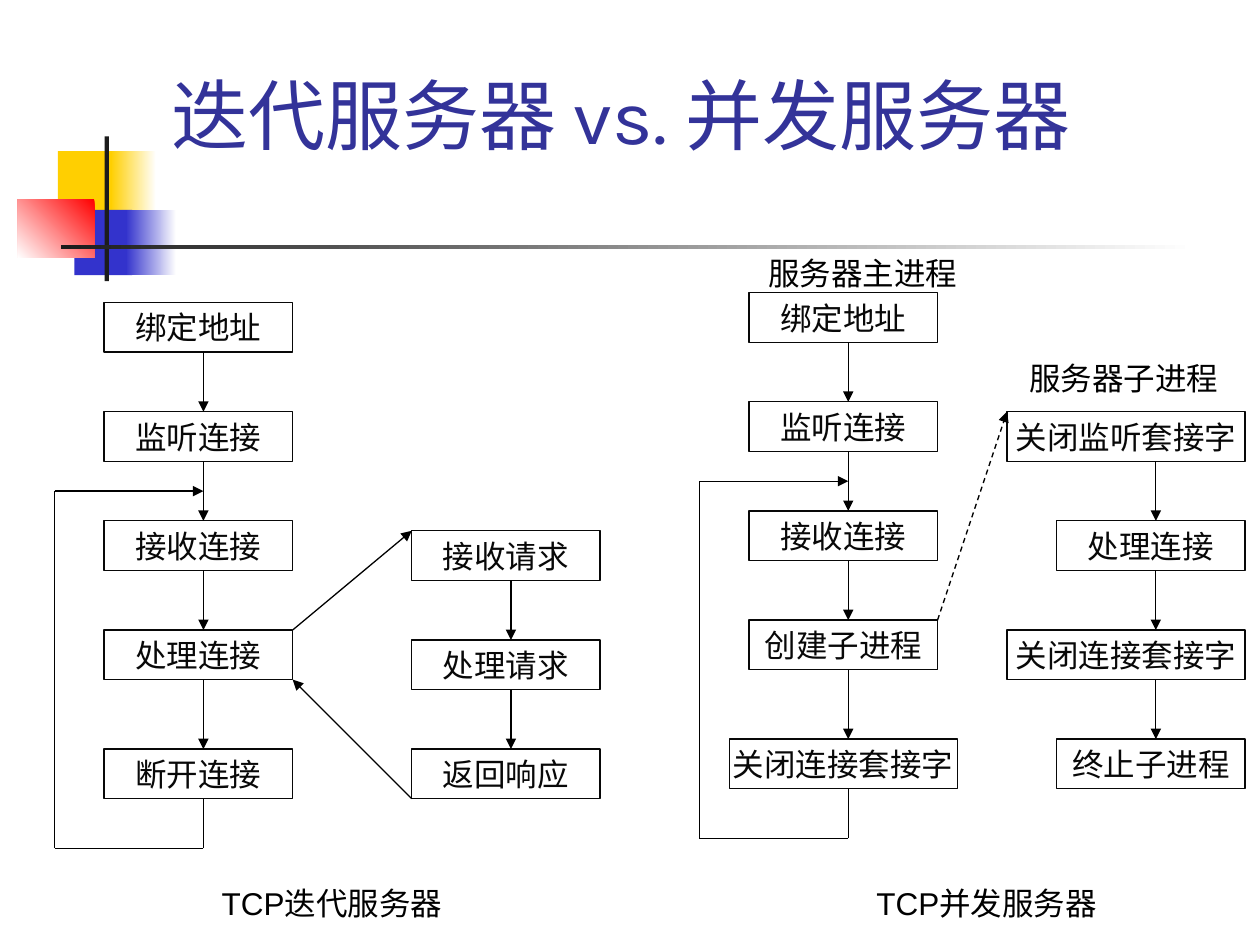
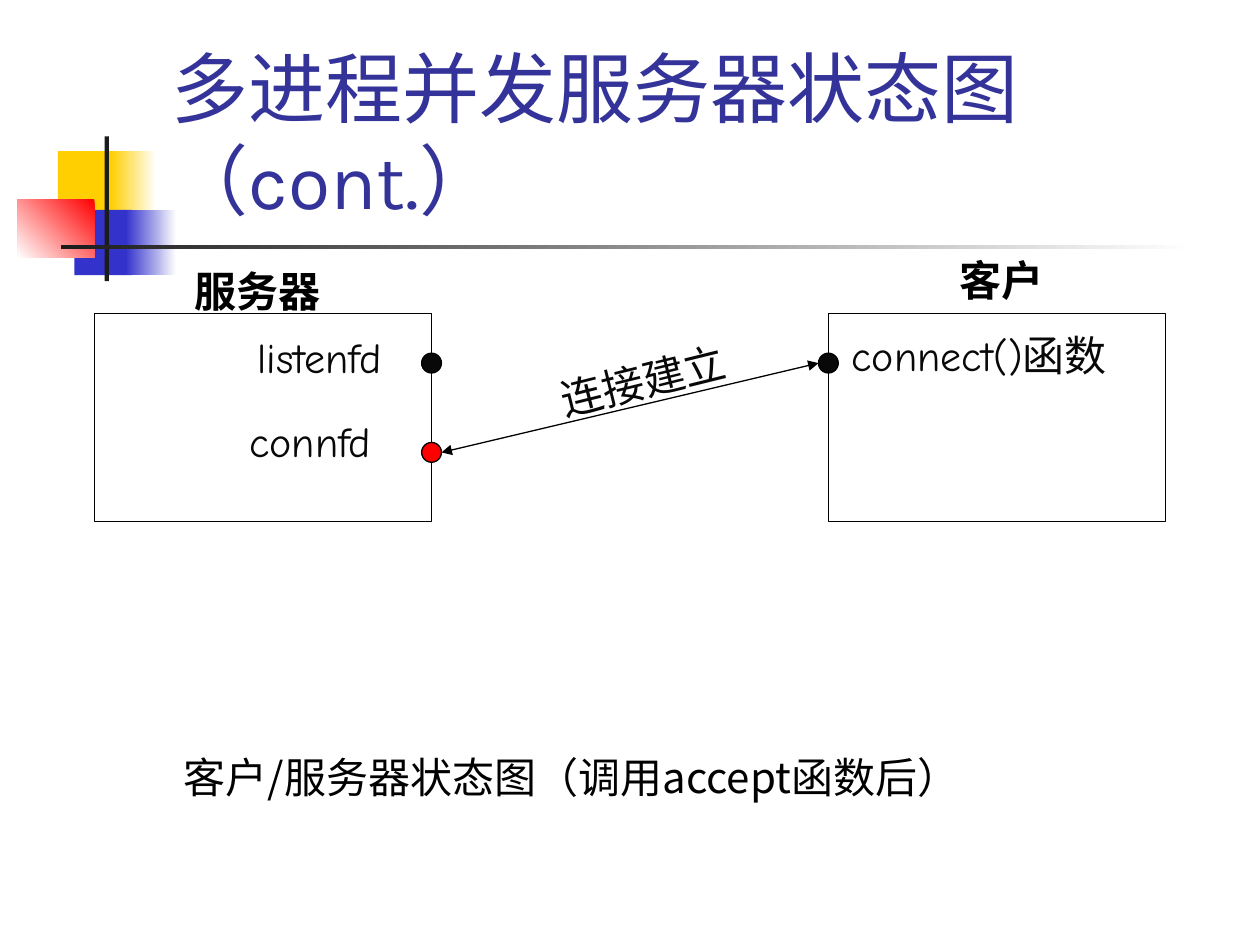
"""Build two slides comparing iterative and concurrent TCP servers on a 2 mm grid."""
from lxml import etree
from pptx import Presentation, util as u
from pptx.dml.color import RGBColor
from pptx.enum import dml, shapes, text
from pptx.oxml.ns import qn

COLORS = {"gold": "FFCF01", "blue": "3333CC", "red": "FF0000", "white": "FFFFFF",
          "charcoal": "1C1C1C", "title": "333399", "ink": "080808", "black": "000000"}
RGB = {name: RGBColor.from_string(value) for name, value in COLORS.items()}
RECT, OVAL = shapes.MSO_SHAPE.RECTANGLE, shapes.MSO_SHAPE.OVAL
BOX_WIDTH, BOX_HEIGHT = 19, 5


def grid(column, row, columns=0, rows=0):
    return u.Mm(2 * column + 1), u.Mm(2 * row + 1), u.Mm(2 * columns), u.Mm(2 * rows)


def add_line(page, start, end, ends=(), dashed=False):
    line = page.shapes.add_connector(shapes.MSO_CONNECTOR.STRAIGHT, *grid(*start)[:2], *grid(*end)[:2])
    line.line.color.rgb = RGB["black"]
    line.line.width = u.Pt(0.75)
    if dashed:
        line.line.dash_style = dml.MSO_LINE.DASH
    for end_name in ends:
        etree.SubElement(line.line._get_or_add_ln(), qn(f"a:{end_name}"), type="triangle")
    etree.SubElement(line.element.spPr, qn("a:effectLst"))


deck = Presentation()
deck.slide_width, deck.slide_height = u.Inches(10), u.Inches(7.5)
layout = deck.slide_layouts[5]
pages = []
for title_text, top, height in [("迭代服务器 vs. 并发服务器", 5.47, 10.8),
                                ("多进程并发服务器状态图（cont.）", 2.5, 20.3)]:
    page = deck.slides.add_slide(layout)
    title = page.shapes.title
    title.left, title.top, title.width, title.height = grid(15.5, top, 108.2, height)
    frame = title.text_frame
    frame.text = title_text
    frame.auto_size = text.MSO_AUTO_SIZE.NONE
    frame.vertical_anchor = text.MSO_ANCHOR.BOTTOM
    para = frame.paragraphs[0]
    para.alignment = text.PP_ALIGN.LEFT
    para.font.name, para.font.size = "Karla", u.Pt(44)
    para.font.color.rgb = RGB["title"]
    pages.append(page)
comparison, state = pages

bands = [
    (5.34, 14.74, 6.1, 6.6, ["gold"], 0),
    (10.68, 14.74, 4.57, 6.6, ["white", "gold"], 180),
    (6.99, 20.65, 5.84, 6.6, ["blue"], 0),
    (12.2, 20.65, 5.08, 6.6, ["white", "blue"], 180),
    (1.28, 19.57, 7.75, 5.9, ["red", "white"], 225),
    (10.04, 13.25, 0.45, 14.6, ["charcoal"], 0),
    (5.65, 24.2, 114.3, 0.45, ["white", "charcoal"], 180),
]
for *cells, shades, angle in bands:
    band = comparison.shapes.add_shape(RECT, *grid(*cells))
    band.shadow.inherit = False
    band.line.fill.background()
    if len(shades) == 1:
        band.fill.solid()
        band.fill.fore_color.rgb = RGB[shades[0]]
    else:
        band.fill.gradient()
        band.fill.gradient_angle = angle
        for stop, shade in zip(band.fill.gradient_stops, shades):
            stop.color.rgb = RGB[shade]
    layout.shapes.element.append(band.element)

flows = [
    (20, [(10, 30, BOX_WIDTH, "绑定地址"), (10, 41, BOX_WIDTH, "监听连接"),
          (10, 52, BOX_WIDTH, "接收连接"), (10, 63, BOX_WIDTH, "处理连接"),
          (10, 75, BOX_WIDTH, "断开连接")]),
    (51, [(41, 53, BOX_WIDTH, "接收请求"), (41, 64, BOX_WIDTH, "处理请求"),
          (41, 75, BOX_WIDTH, "返回响应")]),
    (85, [(75, 29, BOX_WIDTH, "绑定地址"), (75, 40, BOX_WIDTH, "监听连接"),
          (75, 51, BOX_WIDTH, "接收连接"), (75, 62, BOX_WIDTH, "创建子进程"),
          (73, 74, 23, "关闭连接套接字")]),
    (116, [(101, 41, 24, "关闭监听套接字"), (106, 52, BOX_WIDTH, "处理连接"),
           (101, 63, 24, "关闭连接套接字"), (106, 74, BOX_WIDTH, "终止子进程")]),
]
for spine, steps in flows:
    for column, row, width, step in steps:
        box = comparison.shapes.add_shape(RECT, *grid(column, row, width, BOX_HEIGHT))
        box.shadow.inherit = False
        box.fill.background()
        box.line.color.rgb = RGB["ink"]
        box.line.width = u.Pt(0.75)
        frame = box.text_frame
        frame.text = step
        frame.word_wrap = False
        frame.vertical_anchor = text.MSO_ANCHOR.MIDDLE
        para = frame.paragraphs[0]
        para.alignment = text.PP_ALIGN.CENTER
        para.font.name, para.font.size = "Arial", u.Pt(18)
        para.font.color.rgb = RGB["ink"]
    for upper, lower in zip(steps, steps[1:]):
        add_line(comparison, (spine, upper[1] + BOX_HEIGHT), (spine, lower[1]), ["tailEnd"])

for spine, bottom in [(20, 80), (85, 79)]:
    loop = [(spine, bottom), (spine, bottom + 5), (spine - 15, bottom + 5),
            (spine - 15, bottom - 31), (spine, bottom - 31)]
    for index, (start, end) in enumerate(zip(loop, loop[1:])):
        add_line(comparison, start, end, ["tailEnd"] if index == 3 else [])
add_line(comparison, (29, 63), (41, 53), ["tailEnd"])
add_line(comparison, (41, 80), (29, 68), ["tailEnd"])
add_line(comparison, (94, 62), (101, 41), ["tailEnd"], dashed=True)

endpoints = [
    (RECT, 9, 31.1, 34, 21, None), (RECT, 83, 31.1, 34, 21, None),
    (OVAL, 42, 35.1, 2, 2, "ink"), (OVAL, 82, 35.1, 2, 2, "ink"),
    (OVAL, 42, 44.1, 2, 2, "red"),
]
for kind, *cells, shade in endpoints:
    endpoint = state.shapes.add_shape(kind, *grid(*cells))
    endpoint.shadow.inherit = False
    endpoint.line.color.rgb = RGB["black"]
    endpoint.line.width = u.Pt(0.75)
    if shade:
        endpoint.fill.solid()
        endpoint.fill.fore_color.rgb = RGB[shade]
    else:
        endpoint.fill.background()
add_line(state, (82, 36.1), (44, 45.1), ["headEnd", "tailEnd"])

labels = [
    (comparison, "服务器主进程", 75.7, 24.5, 22, "Arial", "black", False, 0),
    (comparison, "服务器子进程", 102, 35.1, 22, "Arial", "black", False, 0),
    (comparison, "TCP迭代服务器", 20.6, 88, 26, "Arial", "black", False, 0),
    (comparison, "TCP并发服务器", 86.6, 88, 26, "Arial", "black", False, 0),
    (state, "服务器", 17.9, 25.6, 16, "Arial", "black", True, 0),
    (state, "客户", 95, 24.5, 12, "Arial", "black", True, 0),
    (state, "connect()函数", 84.1, 32.1, 31, "Comic Neue", "ink", False, 0),
    (state, "listenfd", 24.2, 32.3, 16, "Comic Neue", "ink", False, 0),
    (state, "connfd", 23.4, 40.8, 15, "Comic Neue", "ink", False, 0),
    (state, "连接建立", 54.6, 34.5, 20.5, "Arial", "ink", False, 346.1),
    (state, "客户/服务器状态图（调用accept函数后）", 16.8, 74.6, 86, "Noto Sans CJK JP", "black", False, 0),
]
for page, words, column, row, width, font, shade, bold, angle in labels:
    size, height = (18, 5.1) if page is comparison else (24, 6.4)
    label = page.shapes.add_textbox(*grid(column, row, width, height))
    label.rotation = angle
    frame = label.text_frame
    frame.text = words
    frame.word_wrap = False
    frame.auto_size = text.MSO_AUTO_SIZE.SHAPE_TO_FIT_TEXT
    para = frame.paragraphs[0]
    para.font.name, para.font.size, para.font.bold = font, u.Pt(size), bold
    para.font.color.rgb = RGB[shade]

deck.save("out.pptx")
